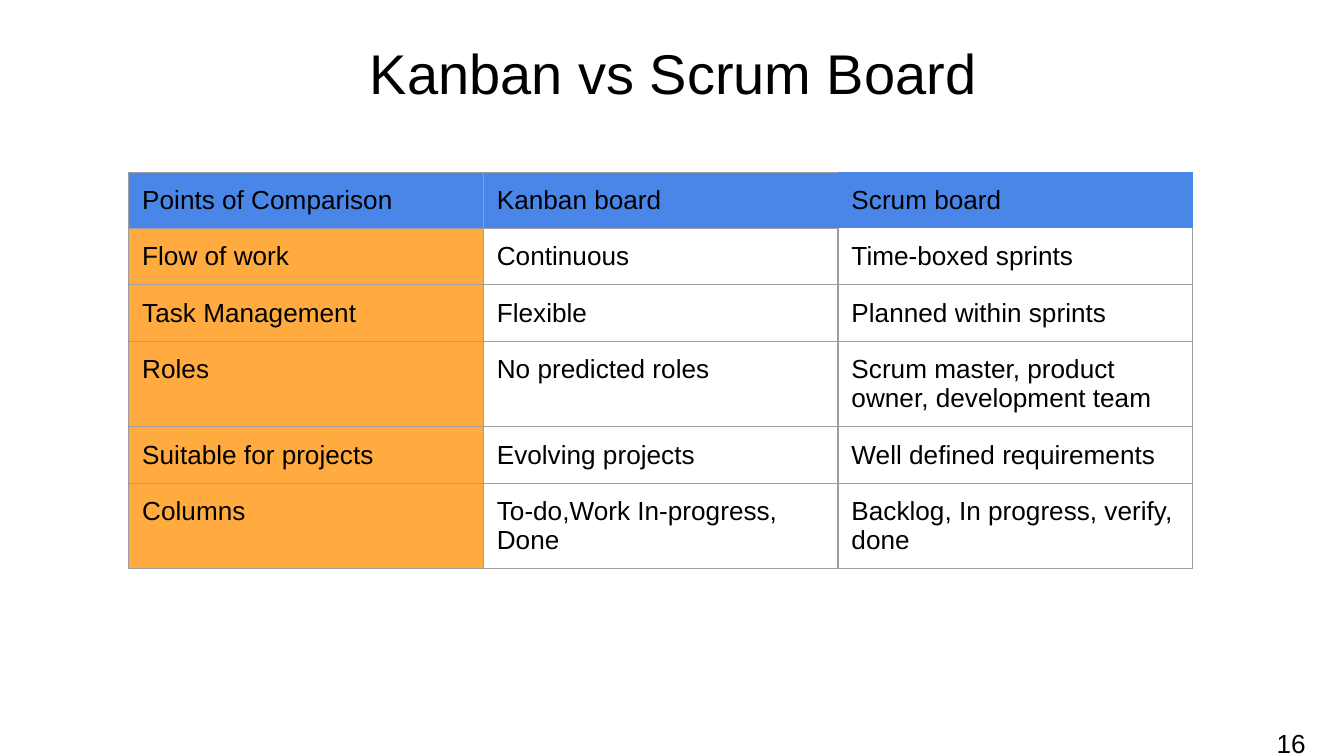
from dataclasses import dataclass

from lxml.etree import SubElement
from pptx import Presentation
from pptx.dml.color import RGBColor
from pptx.enum.text import MSO_ANCHOR, MSO_AUTO_SIZE, PP_ALIGN
from pptx.oxml.ns import qn
from pptx.util import Pt


@dataclass(frozen=True)
class Theme:
    """Colours, font and type sizes."""
    font: str = "Arial"
    ink: str = "000000"
    header: str = "4A86E8"
    label: str = "FFAB40"
    border: str = "9E9E9E"
    line: float = 0.75
    inset: float = 7.2
    title: int = 30
    text: int = 14


ROWS = [
    ("Points of Comparison", "Kanban board", "Scrum board"),
    ("Flow of work", "Continuous", "Time-boxed sprints"),
    ("Task Management", "Flexible", "Planned within sprints"),
    ("Roles", "No predicted roles", "Scrum master, product owner, development team"),
    ("Suitable for projects", "Evolving projects", "Well defined requirements"),
    ("Columns", "To-do,Work In-progress, Done", "Backlog, In progress, verify, done"),
]
OPEN_SIDES = {(0, 1): "R", (0, 2): "LRTB", (1, 2): "T"}


def apply(obj, values):
    """Set each attribute named in values."""
    for name, value in values.items():
        setattr(obj, name, value)


class Deck:
    """Holds the theme and the current slide."""

    def __init__(self, prs, theme):
        self.theme = theme
        self.s = prs.slides.add_slide(prs.slide_layouts[5])

    def margins(self):
        """Return equal insets for a frame or a cell."""
        sides = ("left", "right", "top", "bottom")
        return {f"margin_{side}": Pt(self.theme.inset) for side in sides}

    def paragraph(self, tf, text, size, align=PP_ALIGN.LEFT):
        """Put one styled paragraph in a text frame."""
        p = tf.paragraphs[0]
        p.alignment = align
        r = p.add_run()
        r.text = text
        apply(r.font, {"name": self.theme.font, "size": Pt(size), "bold": False})
        r.font.color.rgb = RGBColor.from_string(self.theme.ink)

    def fit(self, sp, box, text, size, align=PP_ALIGN.LEFT):
        """Place a text shape and fill it."""
        apply(sp, dict(zip(("left", "top", "width", "height"), map(Pt, box))))
        tf = sp.text_frame
        apply(tf, self.margins() | {"word_wrap": True, "vertical_anchor": MSO_ANCHOR.TOP,
                                    "auto_size": MSO_AUTO_SIZE.NONE})
        self.paragraph(tf, text, size, align)

    def title(self, box, text):
        """Fill the title placeholder."""
        self.fit(self.s.shapes.title, box, text, self.theme.title, PP_ALIGN.CENTER)

    def text(self, box, text):
        """Add a text box."""
        self.fit(self.s.shapes.add_textbox(*map(Pt, box)), box, text, self.theme.text)

    def borders(self, cell, open_sides):
        """Draw the cell borders, leaving some sides open."""
        tcPr = cell._tc.get_or_add_tcPr()
        for side in "LRTB":
            ln = SubElement(tcPr, qn(f"a:ln{side}"), w=str(Pt(self.theme.line)))
            if side in open_sides:
                SubElement(ln, qn("a:noFill"))
            else:
                fill = SubElement(ln, qn("a:solidFill"))
                SubElement(fill, qn("a:srgbClr"), val=self.theme.border)

    def table(self, left, top, col_width, row_height, rows):
        """Add a table with a coloured header row and label column."""
        n_rows, n_cols = len(rows), len(rows[0])
        size = (col_width * n_cols, row_height * n_rows)
        tbl = self.s.shapes.add_table(n_rows, n_cols, *map(Pt, (left, top, *size))).table
        apply(tbl, {"first_row": False, "horz_banding": False})
        for col in tbl.columns:
            col.width = Pt(col_width)
        for i, row in enumerate(rows):
            tbl.rows[i].height = Pt(row_height)
            for j, text in enumerate(row):
                cell = tbl.cell(i, j)
                apply(cell, self.margins() | {"vertical_anchor": MSO_ANCHOR.TOP})
                self.paragraph(cell.text_frame, text, self.theme.text)
                self.borders(cell, OPEN_SIDES.get((i, j), ""))
                if i and j:
                    cell.fill.background()
                else:
                    cell.fill.solid()
                    color = self.theme.label if i else self.theme.header
                    cell.fill.fore_color.rgb = RGBColor.from_string(color)


def main():
    """Build and save the slide."""
    prs = Presentation()
    apply(prs, {"slide_width": Pt(720), "slide_height": Pt(405)})
    deck = Deck(prs, Theme())
    deck.title((0.72, 13.7, 720, 51), "Kanban vs Scrum Board")
    deck.table(69, 92.2, 190, 30.2, ROWS)
    deck.text((676.8, 382.3, 72, 31.7), "16")
    prs.save("out.pptx")


if __name__ == "__main__":
    main()
